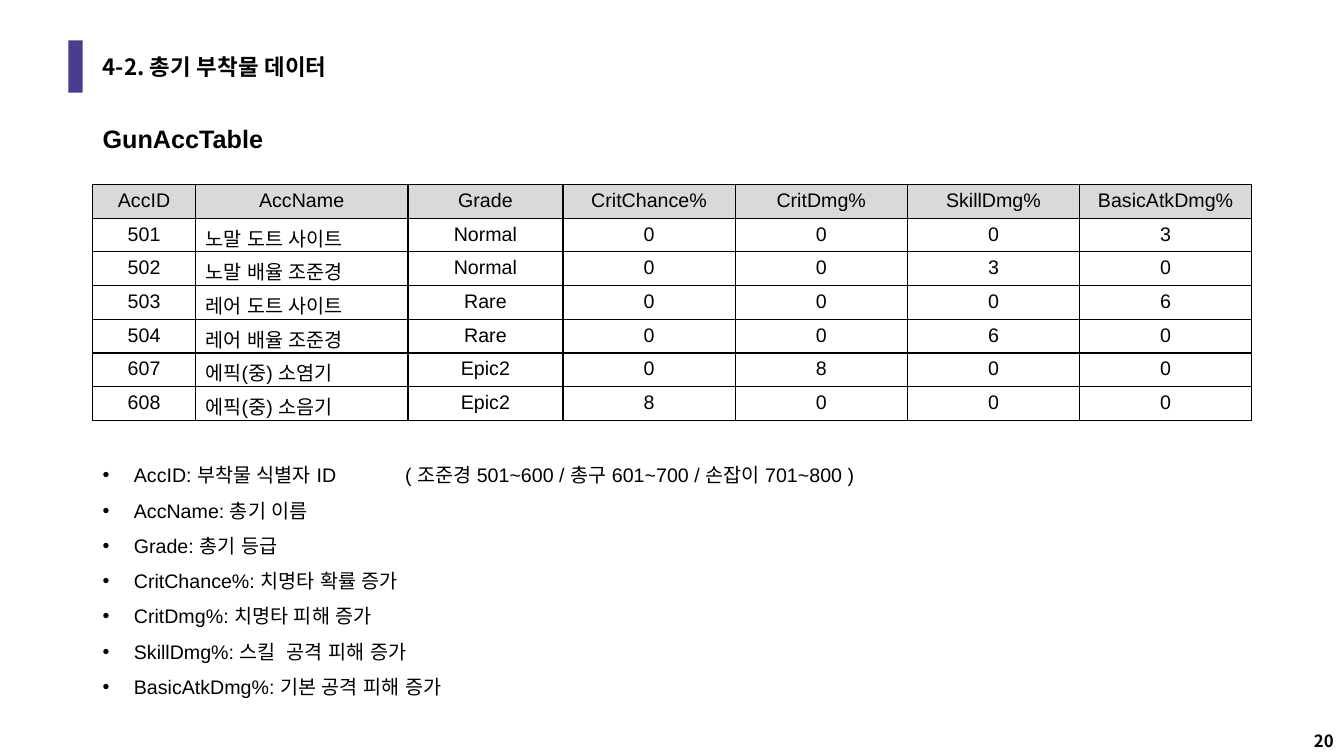
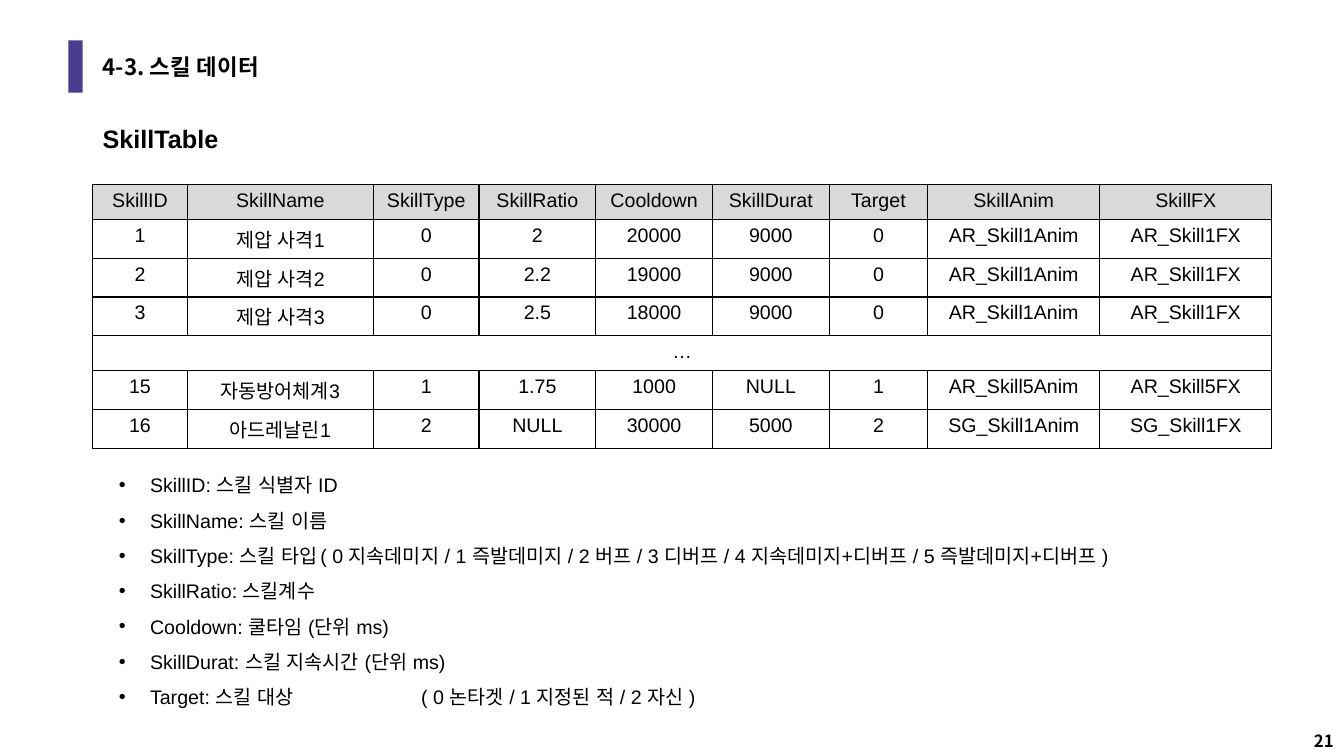
from dataclasses import dataclass

from lxml import etree
from pptx import Presentation
from pptx import util as u
from pptx.dml.color import RGBColor
from pptx.enum import shapes, text
from pptx.oxml.ns import qn

COLORS = {"text": "000000", "accent": "4B3C8F", "header": "D9D9D9", "border": "000000"}
LATIN = "Arial"
KOREAN = "Noto Sans CJK KR"
LEFT = 0.92
TABLE_TOP = 1.83
INDENT = u.Inches(0.31)
TAB_SIZE = u.Inches(1)


@dataclass(frozen=True)
class TableSpec:
    width: float
    height: float
    column_weights: tuple[float, ...]
    row_weights: tuple[float, ...]
    bottom_margin: float
    rows: tuple[tuple[str, ...], ...]
    left_columns: tuple[int, ...] = ()


@dataclass(frozen=True)
class NotesSpec:
    left: float
    top: float
    width: float
    lines: tuple[str, ...]


@dataclass(frozen=True)
class DataPage:
    number: int
    title: str
    table_name: str
    name_width: float
    table: TableSpec
    notes: NotesSpec


PAGES = (
    DataPage(
        20, "4-2. 총기 부착물 데이터", "GunAccTable", 1.83,
        TableSpec(
            11.5, 2.34, (1.02, 2.11, 1.54, 1.71, 1.71, 1.71, 1.71), (1,) * 7, 0,
            (
                ("AccID", "AccName", "Grade", "CritChance%", "CritDmg%", "SkillDmg%", "BasicAtkDmg%"),
                ("501", "노말 도트 사이트", "Normal", "0", "0", "0", "3"),
                ("502", "노말 배율 조준경", "Normal", "0", "0", "3", "0"),
                ("503", "레어 도트 사이트", "Rare", "0", "0", "0", "6"),
                ("504", "레어 배율 조준경", "Rare", "0", "0", "6", "0"),
                ("607", "에픽(중) 소염기", "Epic2", "0", "8", "0", "0"),
                ("608", "에픽(중) 소음기", "Epic2", "8", "0", "0", "0"),
            ),
            left_columns=(1,),
        ),
        NotesSpec(LEFT, 4.43, 7.83, (
            "AccID: 부착물 식별자 ID\t( 조준경 501~600 / 총구 601~700 / 손잡이 701~800 )",
            "AccName: 총기 이름",
            "Grade: 총기 등급",
            "CritChance%: 치명타 확률 증가",
            "CritDmg%: 치명타 피해 증가",
            "SkillDmg%: 스킬  공격 피해 증가",
            "BasicAtkDmg%: 기본 공격 피해 증가",
        )),
    ),
    DataPage(
        21, "4-3. 스킬 데이터", "SkillTable", 1.38,
        TableSpec(
            11.7, 2.62, (0.94, 1.85, 1.05, 1.16, 1.16, 1.16, 0.98, 1.71, 1.71),
            (0.35, 0.39, 0.39, 0.39, 0.35, 0.39, 0.39), 0.05,
            (
                ("SkillID", "SkillName", "SkillType", "SkillRatio", "Cooldown", "SkillDurat",
                 "Target", "SkillAnim", "SkillFX"),
                ("1", "제압 사격1", "0", "2", "20000", "9000", "0", "AR_Skill1Anim", "AR_Skill1FX"),
                ("2", "제압 사격2", "0", "2.2", "19000", "9000", "0", "AR_Skill1Anim", "AR_Skill1FX"),
                ("3", "제압 사격3", "0", "2.5", "18000", "9000", "0", "AR_Skill1Anim", "AR_Skill1FX"),
                ("…",),
                ("15", "자동방어체계3", "1", "1.75", "1000", "NULL", "1", "AR_Skill5Anim", "AR_Skill5FX"),
                ("16", "아드레날린1", "2", "NULL", "30000", "5000", "2", "SG_Skill1Anim", "SG_Skill1FX"),
            ),
        ),
        NotesSpec(1.08, 4.53, 11.58, (
            "SkillID: 스킬 식별자 ID",
            "SkillName: 스킬 이름",
            "SkillType: 스킬 타입\t( 0 지속데미지 / 1 즉발데미지 / 2 버프 / 3 디버프 / "
            "4 지속데미지+디버프 / 5 즉발데미지+디버프 )",
            "SkillRatio: 스킬계수",
            "Cooldown: 쿨타임 (단위 ms)",
            "SkillDurat: 스킬 지속시간 (단위 ms)",
            "Target: 스킬 대상\t\t( 0 논타겟 / 1 지정된 적 / 2 자신 )",
        )),
    ),
)


def rgb(name: str) -> RGBColor:
    return RGBColor.from_string(COLORS[name])


def share(total: float, weights: tuple[float, ...]) -> list[u.Length]:
    return [u.Inches(total * weight / sum(weights)) for weight in weights]


def format_runs(p, size: float, bold: bool = False, font: str = LATIN, small_caps: bool = False) -> None:
    for r in p.runs:
        r.font.size = u.Pt(size)
        r.font.bold = bold
        r.font.name = font
        r.font.color.rgb = rgb("text")
        props = r.font._element
        props.set("lang", "ko-KR")
        props.set("altLang", "en-US")
        etree.SubElement(props, qn("a:ea")).set("typeface", KOREAN)
        if small_caps:
            props.set("cap", "small")


def add_text(s, left: float, top: float, width: float, height: float, content: str, wrap: bool = True):
    sp = s.shapes.add_textbox(u.Inches(left), u.Inches(top), u.Inches(width), u.Inches(height))
    tf = sp.text_frame
    tf.word_wrap = wrap
    tf.text = content
    return tf


def add_frame(s, page: DataPage) -> None:
    tf = add_text(s, 12.41, 7.1, 0.92, 0.4, str(page.number))
    tf.vertical_anchor = text.MSO_ANCHOR.BOTTOM
    tf.paragraphs[0].alignment = text.PP_ALIGN.RIGHT
    format_runs(tf.paragraphs[0], 12, bold=True, font=KOREAN)

    bar = s.shapes.add_shape(
        shapes.MSO_SHAPE.RECTANGLE, u.Inches(0.68), u.Inches(0.4), u.Inches(0.14), u.Inches(0.52))
    bar.shadow.inherit = False
    bar.fill.solid()
    bar.fill.fore_color.rgb = rgb("accent")
    bar.line.fill.background()

    tf = add_text(s, LEFT, 0.4, 11.5, 0.52, page.title)
    tf.vertical_anchor = text.MSO_ANCHOR.MIDDLE
    tf.paragraphs[0].line_spacing = 0.9
    format_runs(tf.paragraphs[0], 20, bold=True, font=KOREAN, small_caps=True)

    tf = add_text(s, LEFT, 1.17, page.name_width, 0.4, page.table_name, wrap=False)
    format_runs(tf.paragraphs[0], 18, bold=True)


def add_borders(cell) -> None:
    props = cell._tc.get_or_add_tcPr()
    for i, side in enumerate(("a:lnL", "a:lnR", "a:lnT", "a:lnB")):
        line = etree.Element(qn(side), w=str(u.Pt(1)))
        fill = etree.SubElement(line, qn("a:solidFill"))
        etree.SubElement(fill, qn("a:srgbClr"), val=COLORS["border"])
        props.insert(i, line)


def add_data_table(s, spec: TableSpec) -> None:
    table = s.shapes.add_table(
        len(spec.rows), len(spec.column_weights), u.Inches(LEFT), u.Inches(TABLE_TOP),
        u.Inches(spec.width), u.Inches(spec.height)).table
    table.first_row = False
    table.horz_banding = False
    for column, width in zip(table.columns, share(spec.width, spec.column_weights)):
        column.width = width
    for row, height in zip(table.rows, share(spec.height, spec.row_weights)):
        row.height = height
    for i, values in enumerate(spec.rows):
        if len(values) == 1:
            table.cell(i, 0).merge(table.cell(i, len(spec.column_weights) - 1))
        for j, cell in enumerate(table.rows[i].cells):
            cell.margin_bottom = u.Inches(spec.bottom_margin)
            if i == 0:
                cell.fill.solid()
                cell.fill.fore_color.rgb = rgb("header")
            else:
                cell.fill.background()
            add_borders(cell)
            if j < len(values):
                p = cell.text_frame.paragraphs[0]
                p.text = values[j]
                is_left = i > 0 and j in spec.left_columns
                p.alignment = text.PP_ALIGN.LEFT if is_left else text.PP_ALIGN.CENTER
                format_runs(p, 14)


def add_notes(s, spec: NotesSpec) -> None:
    tf = add_text(s, spec.left, spec.top, spec.width, 2.53, "\n".join(spec.lines))
    for p in tf.paragraphs:
        p.line_spacing = 1.5
        format_runs(p, 14)
        props = p._p.get_or_add_pPr()
        props.set("marL", str(INDENT))
        props.set("indent", str(-INDENT))
        props.set("defTabSz", str(TAB_SIZE))
        color = etree.SubElement(props, qn("a:buClr"))
        etree.SubElement(color, qn("a:srgbClr"), val=COLORS["text"])
        etree.SubElement(props, qn("a:buFont"), typeface=LATIN)
        etree.SubElement(props, qn("a:buChar"), char="•")


def main() -> None:
    prs = Presentation()
    prs.slide_width = u.Inches(40 / 3)
    prs.slide_height = u.Inches(7.5)
    for page in PAGES:
        s = prs.slides.add_slide(prs.slide_layouts[6])
        add_frame(s, page)
        add_data_table(s, page.table)
        add_notes(s, page.notes)
    prs.save("out.pptx")


if __name__ == "__main__":
    main()
